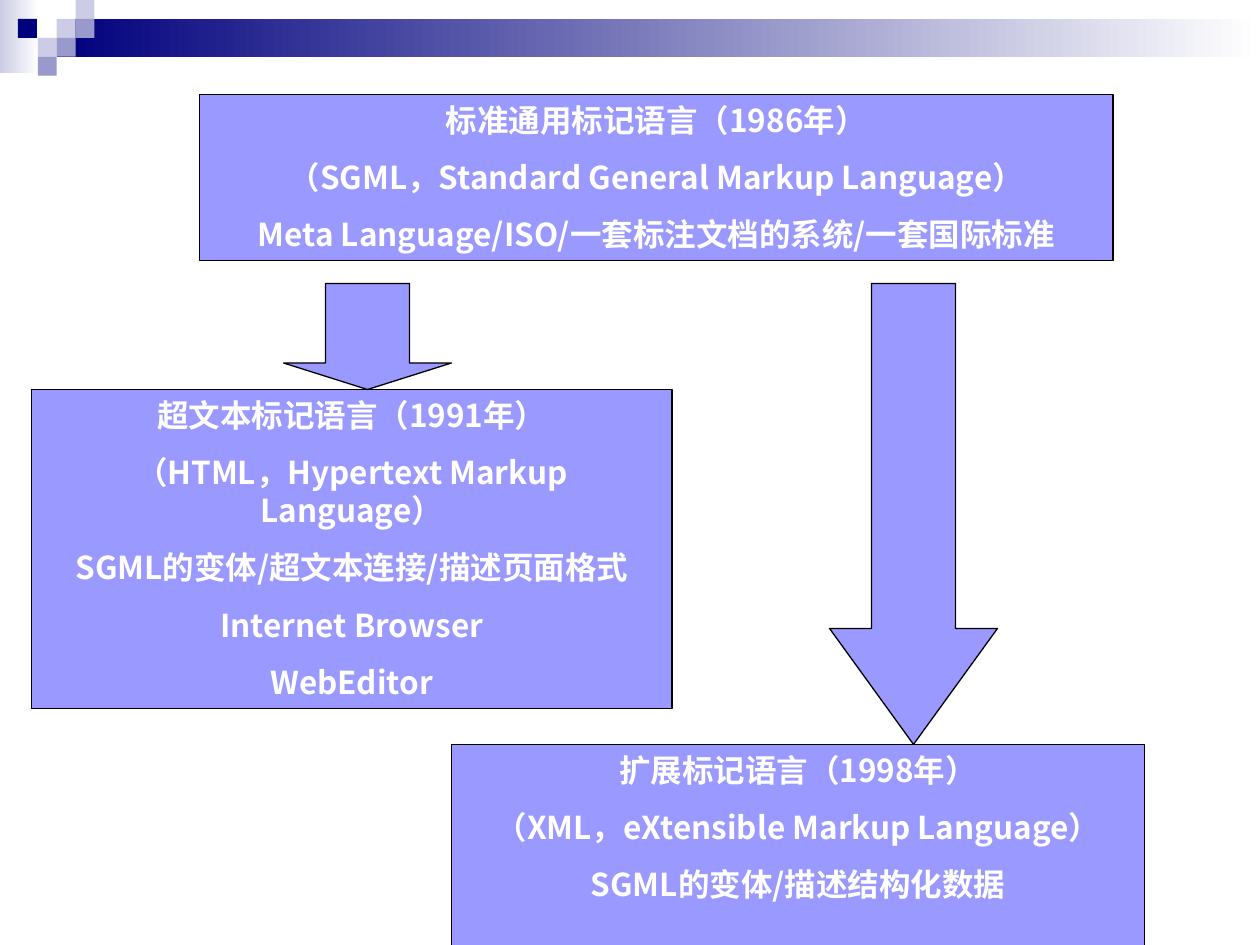
from pptx import Presentation
from pptx.dml.color import RGBColor
from pptx.enum.shapes import MSO_SHAPE
from pptx.enum.text import MSO_ANCHOR, PP_ALIGN
from pptx.oxml.ns import qn
from pptx.util import Inches, Pt

RECTANGLE = MSO_SHAPE.RECTANGLE
DOWN_ARROW = MSO_SHAPE.DOWN_ARROW
TOP = MSO_ANCHOR.TOP
CENTER = PP_ALIGN.CENTER

NAVY = RGBColor(0x00, 0x00, 0x7D)
MIST = RGBColor(0xCC, 0xCC, 0xE6)
SLATE = RGBColor(0x99, 0x99, 0xCC)
LAVENDER = RGBColor(0x99, 0x99, 0xFF)
BLACK = RGBColor(0x00, 0x00, 0x00)
WHITE = RGBColor(0xFF, 0xFF, 0xFF)

FONT = "Noto Sans CJK SC"
TILE = Inches(0.15)   # side of one square in the header
CELL = Inches(1) / 12  # diagram grid: 120 columns by 90 rows


def add_block(kind, place, unit, colors, outline=None):
    """Place (left, top, width, height) counts units; two colors make a gradient."""
    shape = slide.shapes.add_shape(kind, *[round(value * unit) for value in place])
    shape.shadow.inherit = False
    if len(colors) == 2:
        shape.fill.gradient()
        shape.fill.gradient_angle = 0
        for stop, color, position in zip(shape.fill.gradient_stops, colors, (0, 1)):
            stop.color.rgb = color
            stop.position = position
    else:
        shape.fill.solid()
        shape.fill.fore_color.rgb = colors[0]
    if outline is None:
        shape.line.fill.background()
    else:
        shape.line.color.rgb = outline
        shape.line.width = Pt(0.75)
    return shape


def write_text(shape, lines, size=18, color=WHITE, bold=True, gap=11.2):
    frame = shape.text_frame
    frame.word_wrap = True
    frame.vertical_anchor = TOP
    for index, line in enumerate(lines):
        paragraph = frame.paragraphs[0] if index == 0 else frame.add_paragraph()
        paragraph.alignment = CENTER
        paragraph.space_before = Pt(gap if index else 0)
        run = paragraph.add_run()
        run.text = line
        run.font.size = Pt(size)
        run.font.bold = bold
        run.font.color.rgb = color
        run.font.name = FONT
        east_asian = run.font._element.makeelement(qn("a:ea"), {"typeface": FONT})
        run.font._element.find(qn("a:latin")).addnext(east_asian)


presentation = Presentation()
presentation.slide_width = Inches(10)
presentation.slide_height = Inches(7.5)
slide = presentation.slides.add_slide(presentation.slide_layouts[6])

# Header: two gradient bands and a scatter of square tiles
add_block(RECTANGLE, (0, 0, 2.07, 3.87), TILE, (MIST, WHITE))
add_block(RECTANGLE, (3, 1, 63.67, 2), TILE, (NAVY, WHITE))
tiles = [
    (3, 1, MIST), (4, 0, MIST), (4, 1, SLATE), (2, 2, MIST),
    (0.95, 1, NAVY), (3, 2, SLATE), (2, 3, SLATE),
]
for column, row, color in tiles:
    add_block(RECTANGLE, (column, row, 1, 1), TILE, (color,))

# Markup languages, with the row where each box starts
HTML_ROW, XML_ROW, ARROW_ROW = 37.1, 70.9, 27
languages = [
    ((19, 9, 87, 15.8), [
        "标准通用标记语言（1986年）",
        "（SGML，Standard General Markup Language）",
        "Meta Language/ISO/一套标注文档的系统/一套国际标准",
    ]),
    ((3, HTML_ROW, 61, 30.4), [
        "超文本标记语言（1991年）",
        "（HTML，Hypertext Markup Language）",
        "SGML的变体/超文本连接/描述页面格式",
        "Internet Browser",
        "WebEditor",
    ]),
    ((43, XML_ROW, 66, 19.4), [
        "扩展标记语言（1998年）",
        "（XML，eXtensible Markup Language）",
        "SGML的变体/描述结构化数据",
    ]),
]
for place, lines in languages:
    box = add_block(RECTANGLE, place, CELL, (LAVENDER,), outline=BLACK)
    write_text(box, lines)

# Arrows from SGML down to its two descendants
for column, end_row, head in [(27, HTML_ROW, 0.25), (79, XML_ROW, 0.69)]:
    place = (column, ARROW_ROW, 16, end_row - ARROW_ROW)
    arrow = add_block(DOWN_ARROW, place, CELL, (LAVENDER,), outline=BLACK)
    arrow.adjustments[0] = 0.5
    arrow.adjustments[1] = head

presentation.save("out.pptx")
